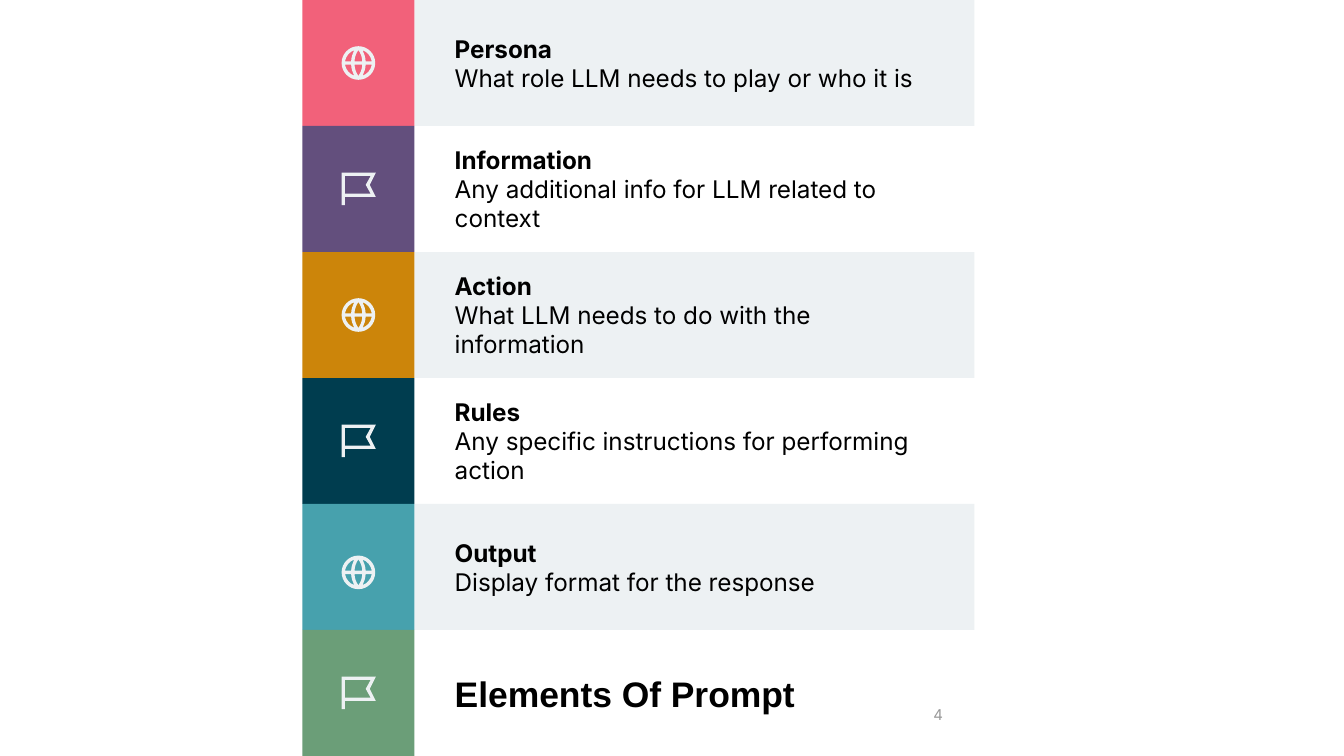
from collections import namedtuple

from lxml.etree import SubElement
from pptx import Presentation
from pptx.dml.color import RGBColor
from pptx.enum.shapes import MSO_SHAPE as Preset
from pptx.enum.text import MSO_ANCHOR as Anchor, MSO_AUTO_SIZE as AutoSize, PP_ALIGN as Align
from pptx.oxml.ns import qn
from pptx.util import Inches, Pt

Box = namedtuple("Box", "left top width height")
Outline = namedtuple("Outline", "segments points")

COLORS = {
    "pale": "EDF1F3", "text": "000000", "number": "999999",
    "pink": "F2617A", "purple": "634F7D", "amber": "CC850A",
    "navy": "003D4F", "teal": "47A1AD", "green": "6B9E78",
}
ROWS = [
    ("pink", "Persona", "What role LLM needs to play or who it is", 0),
    ("purple", "Information", "Any additional info for LLM related to context", 0),
    ("amber", "Action", "What LLM needs to do with the information", 0),
    ("navy", "Rules", "Any specific instructions for performing action", 0),
    ("teal", "Output", "Display format for the response", 0.04),
]
SLIDE_WIDTH, SLIDE_HEIGHT = Inches(10), Inches(5.625)
ROW_HEIGHT = SLIDE_HEIGHT / (len(ROWS) + 1)
TILE_LEFT, TILE_WIDTH = SLIDE_WIDTH * 0.225, SLIDE_WIDTH / 12
PANEL_LEFT, PANEL_WIDTH = TILE_LEFT + TILE_WIDTH, SLIDE_WIDTH * 5 / 12
ICON_RADIUS = Inches(0.125)


def place(box):
    """Return the box as whole lengths."""
    return [round(length) for length in box]


def paint(shape, color):
    """Give a shape a flat fill without line or shadow."""
    shape.shadow.inherit = False
    shape.fill.solid()
    shape.fill.fore_color.rgb = RGBColor.from_string(COLORS[color])
    shape.line.fill.background()


def prepare_frame(shape, side_inset):
    """Set wrapping, centring and insets, and return the text frame."""
    frame = shape.text_frame
    frame.word_wrap = True
    frame.auto_size = AutoSize.NONE
    frame.vertical_anchor = Anchor.MIDDLE
    frame.margin_left = frame.margin_right = Inches(side_inset)
    frame.margin_top = frame.margin_bottom = Inches(0.1)
    return frame


def add_run(paragraph, text, size, font="Inter", color="text", bold=False, align=Align.LEFT):
    """Add one formatted run to an aligned paragraph."""
    paragraph.alignment = align
    run = paragraph.add_run()
    run.text = text
    run.font.size, run.font.name, run.font.bold = Pt(size), font, bold
    run.font.color.rgb = RGBColor.from_string(COLORS[color])


def globe_outlines():
    """Return the rim and the six openings of a globe of radius one."""
    rim = [(0, 1), (0.55, 1), (1, 0.55), (1, 0), (1, -0.55), (0.55, -1), (0, -1),
           (-0.55, -1), (-1, -0.55), (-1, 0), (-1, 0.55), (-0.55, 1), (0, 1)]
    lens = [(0.23, 0.1), (0.22, 0.35), (0.14, 0.58), (0, 0.77), (-0.14, 0.58), (-0.22, 0.35), (-0.23, 0.1)]
    side = [(0.25, 0.76), (0.35, 0.56), (0.42, 0.34), (0.43, 0.1), (0.8, 0.1), (0.74, 0.41), (0.53, 0.66), (0.25, 0.76)]
    lenses = [Outline("CC", [(x, y * flip) for x, y in lens]) for flip in (-1, 1)]
    sides = [Outline("CLC", [(x * turn, y * flip) for x, y in side]) for turn in (-1, 1) for flip in (-1, 1)]
    return [Outline("CCCC", rim), *lenses, *sides]


def flag_outlines():
    """Return the edge and the opening of a flag about two units wide."""
    edge = [(-1, 0.97), (-1, -0.97), (1.04, -0.97), (0.68, -0.24), (1.04, 0.48), (-0.8, 0.48), (-0.8, 0.97)]
    opening = [(-0.8, -0.77), (0.73, -0.77), (0.44, -0.24), (0.73, 0.28), (-0.8, 0.28)]
    return [Outline("L" * 6, edge), Outline("L" * 4, opening)]


def bend(shape, segments):
    """Join each three lines that stand for a C segment into one cubic curve."""
    lines = iter(list(shape.element.iter(qn("a:lnTo"))))
    for segment in segments:
        line = next(lines)
        if segment == "C":
            curve = SubElement(line.getparent(), qn("a:cubicBezTo"))
            line.addprevious(curve)
            for part in (line, next(lines), next(lines)):
                curve.append(part[0])
                part.getparent().remove(part)


def add_icon(slide, box, outlines, drop):
    """Draw an icon at the centre of a tile."""
    center_x = box.left + box.width / 2
    center_y = box.top + box.height / 2 + Inches(drop)
    builder = None
    for outline in outlines:
        points = [(round(center_x + x * ICON_RADIUS), round(center_y + y * ICON_RADIUS)) for x, y in outline.points]
        if builder is None:
            builder = slide.shapes.build_freeform(*points[0])
        else:
            builder.move_to(*points[0])
        builder.add_line_segments(points[1:], close=True)
    icon = builder.convert_to_shape()
    bend(icon, "".join(outline.segments for outline in outlines))
    paint(icon, "pale")


def add_tile(slide, box, color, index, drop=0):
    """Add a coloured tile with a globe or, on odd rows, a flag."""
    paint(slide.shapes.add_shape(Preset.RECTANGLE, *place(box)), color)
    add_icon(slide, box, flag_outlines() if index % 2 else globe_outlines(), drop)


def add_panel(slide, box, heading, detail, shaded):
    """Add a heading and its detail, on a pale band if shaded."""
    if shaded:
        shape = slide.shapes.add_shape(Preset.RECTANGLE, *place(box))
        paint(shape, "pale")
    else:
        shape = slide.shapes.add_textbox(*place(box))
    frame = prepare_frame(shape, 0.3)
    add_run(frame.paragraphs[0], heading, 13, bold=True)
    add_run(frame.add_paragraph(), detail, 13)


def add_title(slide, box):
    """Move the title placeholder into the box and fill it."""
    title = slide.shapes.title
    title.left, title.top, title.width, title.height = place(box)
    paragraph = prepare_frame(title, 0.3).paragraphs[0]
    add_run(paragraph, "Elements Of Prompt", 19, font="Arial", bold=True)


def add_page_number(slide, box):
    """Add the page number at the lower right of the title row."""
    area = Box(box.left + box.width * 0.824, box.top + box.height * 0.44, Inches(0.6), Inches(0.43))
    paragraph = prepare_frame(slide.shapes.add_textbox(*place(area)), 0.1).paragraphs[0]
    add_run(paragraph, "4", 8, color="number", align=Align.RIGHT)


def main():
    """Build and save the slide."""
    presentation = Presentation()
    presentation.slide_width, presentation.slide_height = SLIDE_WIDTH, SLIDE_HEIGHT
    slide = presentation.slides.add_slide(presentation.slide_layouts[5])
    for index, (color, heading, detail, drop) in enumerate(ROWS):
        top = index * ROW_HEIGHT
        add_panel(slide, Box(PANEL_LEFT, top, PANEL_WIDTH, ROW_HEIGHT), heading, detail, index % 2 == 0)
        add_tile(slide, Box(TILE_LEFT, top, TILE_WIDTH, ROW_HEIGHT), color, index, drop)
    top = len(ROWS) * ROW_HEIGHT
    title_row = Box(PANEL_LEFT, top, PANEL_WIDTH, ROW_HEIGHT)
    add_tile(slide, Box(TILE_LEFT, top, TILE_WIDTH, ROW_HEIGHT), "green", len(ROWS))
    add_title(slide, title_row)
    add_page_number(slide, title_row)
    presentation.save("out.pptx")


if __name__ == "__main__":
    main()
